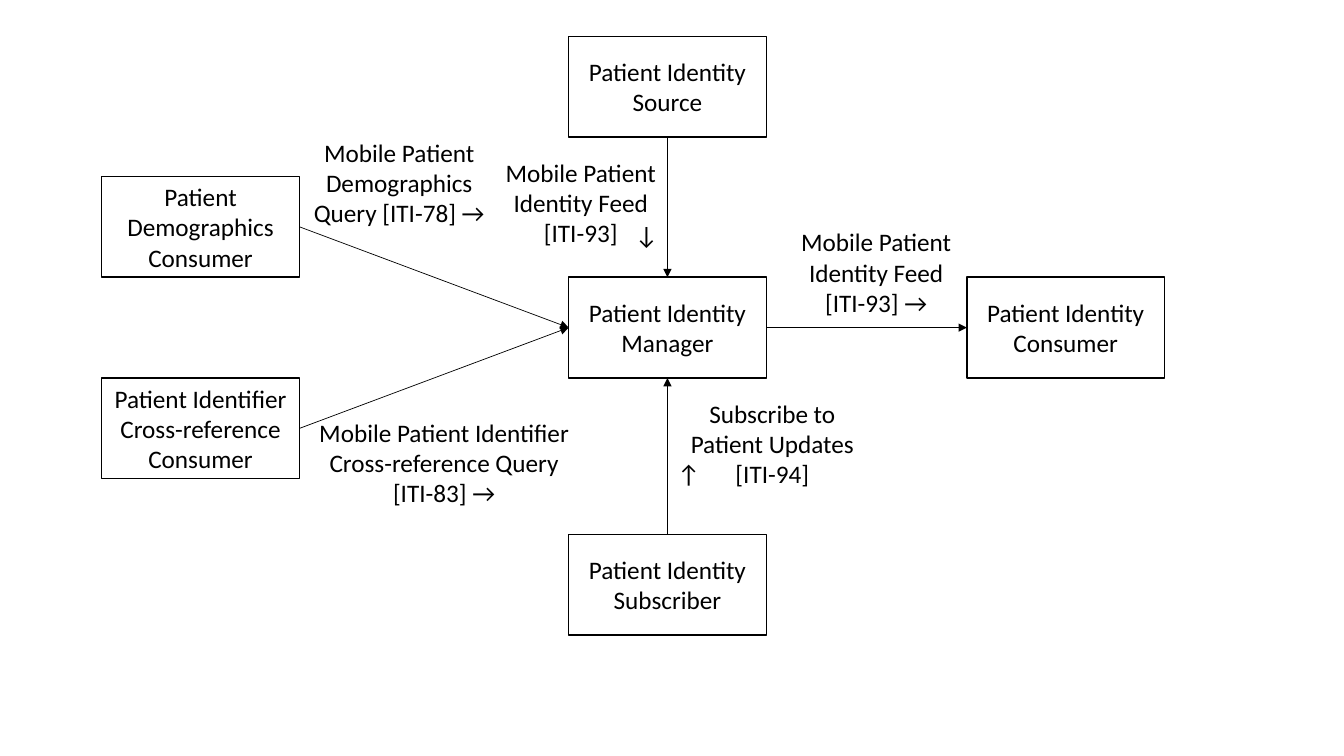
from pptx import Presentation
from pptx.dml.color import RGBColor
from pptx.enum.shapes import MSO_CONNECTOR, MSO_SHAPE
from pptx.enum.text import MSO_ANCHOR, MSO_AUTO_SIZE, PP_ALIGN
from pptx.oxml.ns import qn
from pptx.util import Inches, Pt
from lxml import etree

COLORS = {"ink": "000000", "paper": "FFFFFF"}
INK = RGBColor.from_string(COLORS["ink"])
PAPER = RGBColor.from_string(COLORS["paper"])
BOX_W, BOX_H = 1.96, 1
TOP, LEFT, BOTTOM, RIGHT = range(4)


def set_text(sp, text, align):
    tf = sp.text_frame
    tf.text = text
    for p in tf.paragraphs:
        p.alignment = align
        for r in p.runs:
            r.font.name = "Calibri"
            r.font.size = Pt(18)
            r.font.color.rgb = INK


prs = Presentation()
prs.slide_width, prs.slide_height = Inches(13.33), Inches(7.5)
s = prs.slides.add_slide(prs.slide_layouts[6])

# Actors: name, left, top
actors = [
    ("Patient Identity Source", 5.64, 0.36),
    ("Patient Identity Manager", 5.64, 2.75),
    ("Patient Identity Consumer", 9.59, 2.75),
    ("Patient Identity Subscriber", 5.64, 5.3),
    ("Patient Demographics Consumer", 1.01, 1.75),
    ("Patient Identifier Cross-reference Consumer", 1.01, 3.75),
]
boxes = []
for name, x, y in actors:
    sp = s.shapes.add_shape(MSO_SHAPE.RECTANGLE, Inches(x), Inches(y),
                            Inches(BOX_W), Inches(BOX_H))
    sp.shadow.inherit = False
    sp.fill.solid()
    sp.fill.fore_color.rgb = PAPER
    sp.line.color.rgb = INK
    sp.line.width = Pt(1)
    sp.text_frame.vertical_anchor = MSO_ANCHOR.MIDDLE
    set_text(sp, name, PP_ALIGN.CENTER)
    boxes.append(sp)
source, manager, consumer, subscriber, demographics, cross_reference = boxes

# Transactions: from box and side, to box and side
transactions = [
    (source, BOTTOM, manager, TOP),
    (manager, RIGHT, consumer, LEFT),
    (subscriber, TOP, manager, BOTTOM),
    (demographics, RIGHT, manager, LEFT),
    (cross_reference, RIGHT, manager, LEFT),
]
for start, start_side, end, end_side in transactions:
    arrow = s.shapes.add_connector(MSO_CONNECTOR.STRAIGHT, 0, 0, 0, 0)
    arrow.begin_connect(start, start_side)
    arrow.end_connect(end, end_side)
    arrow.line.color.rgb = INK
    arrow.line.width = Pt(0.5)
    etree.SubElement(arrow.line._get_or_add_ln(), qn("a:tailEnd"), type="triangle")
    etree.SubElement(arrow._element.spPr, qn("a:effectLst"))

# Labels: text, left, top, width, height, alignment
labels = [
    ("Mobile Patient Identity Feed [ITI-93]", 4.89, 1.51, 1.74, 1.01, PP_ALIGN.CENTER),
    ("Mobile Patient Identity Feed [ITI-93] →", 7.82, 2.2, 1.74, 1.01, PP_ALIGN.CENTER),
    ("Subscribe to Patient Updates\n[ITI-94]", 6.62, 3.9, 2.08, 1.01, PP_ALIGN.CENTER),
    ("Mobile Patient Identifier Cross-reference Query [ITI-83] →",
     2.97, 4.09, 2.87, 1.01, PP_ALIGN.CENTER),
    ("Mobile Patient Demographics Query [ITI-78] →",
     2.99, 1.31, 1.94, 1.01, PP_ALIGN.CENTER),
    ("↑", 6.62, 4.5, 0.43, 0.4, PP_ALIGN.LEFT),
    ("↓", 6.2, 2.13, 0.43, 0.4, PP_ALIGN.LEFT),
]
for text, x, y, w, h, align in labels:
    sp = s.shapes.add_textbox(Inches(x), Inches(y), Inches(w), Inches(h))
    sp.text_frame.word_wrap = align == PP_ALIGN.CENTER
    sp.text_frame.auto_size = MSO_AUTO_SIZE.SHAPE_TO_FIT_TEXT
    set_text(sp, text, align)

prs.save("out.pptx")
